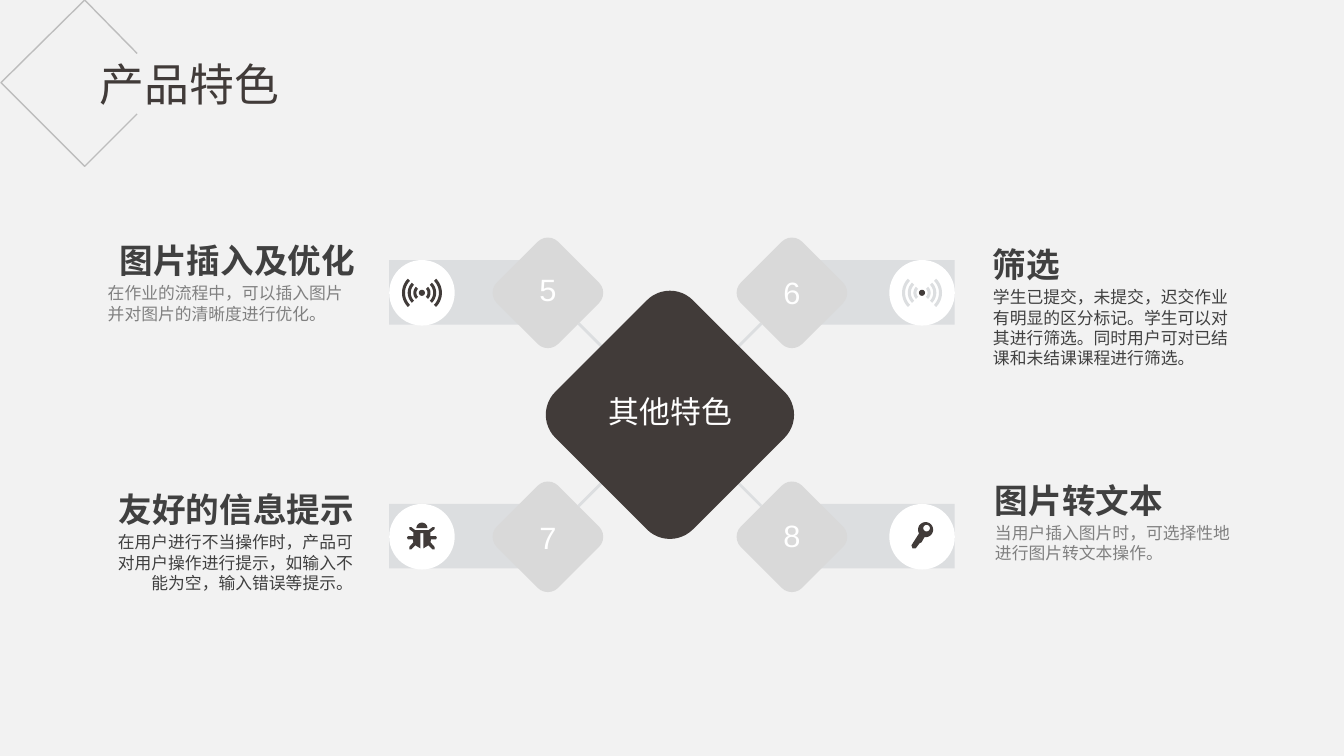
from math import cos, radians, sin

from lxml import etree
from pptx import Presentation
from pptx.dml.color import RGBColor
from pptx.enum.shapes import MSO_CONNECTOR, MSO_SHAPE
from pptx.enum.text import MSO_ANCHOR as Anchor
from pptx.enum.text import MSO_AUTO_SIZE as AutoSize
from pptx.enum.text import PP_ALIGN as Align
from pptx.oxml.ns import qn
from pptx.util import Inches, Pt

DARK, GREY, PALE, BAR = "413B39", "808080", "D9D9D9", "DCDEE0"
WHITE, TEXT, BACKGROUND = "FFFFFF", "404040", "F2F2F2"
HEADING_FONT, BODY_FONT, LABEL_FONT = "Noto Sans CJK SC", "Calibri", "Arial"

CENTER_X, CENTER_Y = 6.645, 4.115
DIAMOND_OFFSET = 1.21
ROW_STEP = 2 * DIAMOND_OFFSET
ROW_TOP = 2.58
BAR_LEFTS, DISC_LEFTS, DISC_SIZE = (3.86, 7.86), (3.86, 8.82), 0.65

# Right half of the bug's body, measured from the centre of its disc
BUG_HALF = [
    (0.015, -0.035), (0.015, 0.115), (0.065, 0.085), (0.105, 0.125),
    (0.125, 0.125), (0.125, 0.1), (0.085, 0.055), (0.09, 0.025),
    (0.14, 0.025), (0.148, 0.01), (0.14, -0.005), (0.085, -0.005),
    (0.085, -0.045), (0.125, -0.075), (0.125, -0.095), (0.105, -0.095),
    (0.065, -0.065),
]
KEY_STEM = [(-0.105, 0.085), (-0.095, 0.115), (-0.065, 0.115),
            (-0.055, 0.105), (-0.025, 0.065), (-0.005, 0.055)]


def color(hex_string):
    return RGBColor.from_string(hex_string)


def arc(x, y, radius, start, end, steps=24):
    """Points along an arc; angles in degrees, clockwise from the right."""
    angles = [radians(start + (end - start) * i / steps) for i in range(steps + 1)]
    return [(x + radius * cos(a), y + radius * sin(a)) for a in angles]


class FeatureSlide:
    def __init__(self, presentation):
        self.slide = presentation.slides.add_slide(presentation.slide_layouts[5])
        self.shapes = self.slide.shapes
        fill = self.slide.background.fill
        fill.solid()
        fill.fore_color.rgb = color(BACKGROUND)

    def paint(self, shape, fill):
        shape.shadow.inherit = False
        shape.fill.solid()
        shape.fill.fore_color.rgb = color(fill)
        shape.line.fill.background()
        return shape

    def preset(self, kind, left, top, width, height, fill):
        box = [Inches(v) for v in (left, top, width, height)]
        return self.paint(self.shapes.add_shape(kind, *box), fill)

    def diamond(self, x, y, size, fill):
        """Rounded square standing on its corner, centred on x, y."""
        shape = self.preset(MSO_SHAPE.ROUNDED_RECTANGLE, x - size / 2, y - size / 2,
                            size, size, fill)
        shape.adjustments[0] = 0.167
        shape.rotation = 315

    def outline(self, contours, closed=True):
        contours = [[(Inches(x), Inches(y)) for x, y in c] for c in contours]
        builder = self.shapes.build_freeform(*contours[0][0])
        builder.add_line_segments(contours[0][1:], close=closed)
        for contour in contours[1:]:
            builder.move_to(*contour[0])
            builder.add_line_segments(contour[1:], close=closed)
        return builder.convert_to_shape()

    def icon(self, x, y, contours, fill=DARK):
        """Filled outline whose points are measured from x, y."""
        placed = [[(x + dx, y + dy) for dx, dy in c] for c in contours]
        self.paint(self.outline(placed), fill)

    def connector(self, x1, y1, x2, y2):
        line = self.shapes.add_connector(
            MSO_CONNECTOR.STRAIGHT, Inches(x1), Inches(y1), Inches(x2), Inches(y2))
        line.line.color.rgb = color(BAR)
        line.line.width = Pt(2)
        etree.SubElement(line._element.spPr, qn("a:effectLst"))

    def set_text(self, shape, text, *, size, font, fill, bold=False, align=Align.LEFT,
                 anchor=Anchor.TOP, wrap=True, auto_size=AutoSize.SHAPE_TO_FIT_TEXT,
                 line_spacing=None, space_before=None):
        frame = shape.text_frame
        frame.word_wrap, frame.auto_size, frame.vertical_anchor = wrap, auto_size, anchor
        paragraph = frame.paragraphs[0]
        paragraph.alignment = align
        paragraph.line_spacing, paragraph.space_before = line_spacing, space_before
        run = paragraph.add_run()
        run.text = text
        run.font.size, run.font.bold, run.font.name = Pt(size), bold, font
        run.font.color.rgb = color(fill)
        etree.SubElement(run._r.get_or_add_rPr(), qn("a:ea"), typeface=font)

    def text(self, left, top, width, height, text, **style):
        box = [Inches(v) for v in (left, top, width, height)]
        self.set_text(self.shapes.add_textbox(*box), text, **style)

    def label(self, left, top, width, text):
        self.text(left, top, width, 0.32, text, size=22, font=LABEL_FONT, fill=WHITE,
                  align=Align.CENTER, anchor=Anchor.MIDDLE, auto_size=AutoSize.NONE,
                  line_spacing=0.9, space_before=Pt(10))

    def title(self, text):
        shape = self.shapes.title
        shape.left, shape.top = Inches(0.37), Inches(0.51)
        shape.width, shape.height = Inches(3.02), Inches(0.64)
        self.set_text(shape, text, size=32, font=HEADING_FONT, fill=DARK,
                      align=Align.CENTER)

    def corner_line(self):
        points = [(1.36, 0.53), (0.84, 0), (0.01, 0.82), (0.84, 1.65), (1.36, 1.13)]
        shape = self.outline([points], closed=False)
        shape.shadow.inherit = False
        shape.fill.background()
        shape.line.color.rgb = color(GREY)
        shape.line.width = Pt(1)
        rgb = shape._element.spPr.find(".//" + qn("a:srgbClr"))
        etree.SubElement(rgb, qn("a:alpha"), val="45000")

    def signal(self, x, y, wave_color):
        self.icon(x, y, [arc(0, 0, 0.03, 0, 360)])
        for outer in (0.085, 0.141, 0.198):
            for middle in (0, 180):
                start, end = middle - 45, middle + 45
                wave = arc(0, 0, outer, start, end) + arc(0, 0, outer - 0.03, end, start)
                self.icon(x, y, [wave], wave_color)

    def bug(self, x, y):
        body = BUG_HALF + [(-dx, dy) for dx, dy in reversed(BUG_HALF)]
        self.icon(x, y, [body, arc(0, -0.085, 0.055, 180, 360)])

    def key(self, x, y):
        head = arc(0.035, -0.07, 0.075, 98, -210)
        self.icon(x, y, [head + KEY_STEM, arc(0.045, -0.085, 0.033, 0, 360)])

    def feature(self, left, heading_top, heading, body, *, heading_left, heading_width,
                body_height, body_color, heading_align, body_align):
        self.text(heading_left, heading_top, heading_width, 0.5, heading, size=24,
                  font=HEADING_FONT, fill=TEXT, bold=True, align=heading_align, wrap=False)
        self.text(left, heading_top + 0.43, 2.65, body_height, body, size=12,
                  font=BODY_FONT, fill=body_color, align=body_align)


def main():
    presentation = Presentation()
    presentation.slide_width, presentation.slide_height = Inches(13.33), Inches(7.5)
    page = FeatureSlide(presentation)
    page.title("产品特色")
    page.corner_line()

    rows = (ROW_TOP, ROW_TOP + ROW_STEP)
    for top in rows:
        for bar_left, disc_left in zip(BAR_LEFTS, DISC_LEFTS):
            page.preset(MSO_SHAPE.RECTANGLE, bar_left, top, 1.61, 0.64, BAR)
            page.preset(MSO_SHAPE.OVAL, disc_left, top, DISC_SIZE, DISC_SIZE, WHITE)

    left_x, right_x = (left + DISC_SIZE / 2 for left in DISC_LEFTS)
    upper_y, lower_y = (top + DISC_SIZE / 2 for top in rows)
    page.signal(left_x, upper_y, DARK)
    page.signal(right_x, upper_y, BAR)
    page.bug(left_x, lower_y)
    page.key(right_x, lower_y)

    corners = [(-1, -1, "5", 2.73), (1, -1, "6", 2.76), (-1, 1, "7", 5.19), (1, 1, "8", 5.17)]
    for side, level, number, label_top in corners:
        page.connector(CENTER_X + side * 0.455, CENTER_Y + level * 0.455,
                       CENTER_X + side * 0.905, CENTER_Y + level * 0.905)
        x = CENTER_X + side * DIAMOND_OFFSET
        page.diamond(x, CENTER_Y + level * DIAMOND_OFFSET, 0.86, PALE)
        page.label(x - 0.28, label_top, 0.56, number)
    page.diamond(CENTER_X, CENTER_Y, 1.93, DARK)
    page.label(5.83, 3.94, 1.64, "其他特色")

    page.feature(0.97, 2.33, "图片插入及优化", "在作业的流程中，可以插入图片并对图片的清晰度进行优化。",
                 heading_left=1.06, heading_width=2.56, body_height=0.5, body_color=GREY,
                 heading_align=Align.RIGHT, body_align=Align.LEFT)
    page.feature(0.95, 4.8, "友好的信息提示",
                 "在用户进行不当操作时，产品可对用户操作进行提示，如输入不能为空，输入错误等提示。",
                 heading_left=1.05, heading_width=2.56, body_height=0.71, body_color=TEXT,
                 heading_align=Align.RIGHT, body_align=Align.RIGHT)
    page.feature(9.75, 2.37, "筛选",
                 "学生已提交，未提交，迟交作业有明显的区分标记。学生可以对其进行筛选。同时用户可对已结课和未结课课程进行筛选。",
                 heading_left=9.75, heading_width=0.88, body_height=0.91, body_color=TEXT,
                 heading_align=Align.LEFT, body_align=Align.LEFT)
    page.feature(9.77, 4.71, "图片转文本", "当用户插入图片时，可选择性地进行图片转文本操作。",
                 heading_left=9.77, heading_width=1.88, body_height=0.5, body_color=GREY,
                 heading_align=Align.LEFT, body_align=Align.LEFT)
    presentation.save("out.pptx")


if __name__ == "__main__":
    main()
